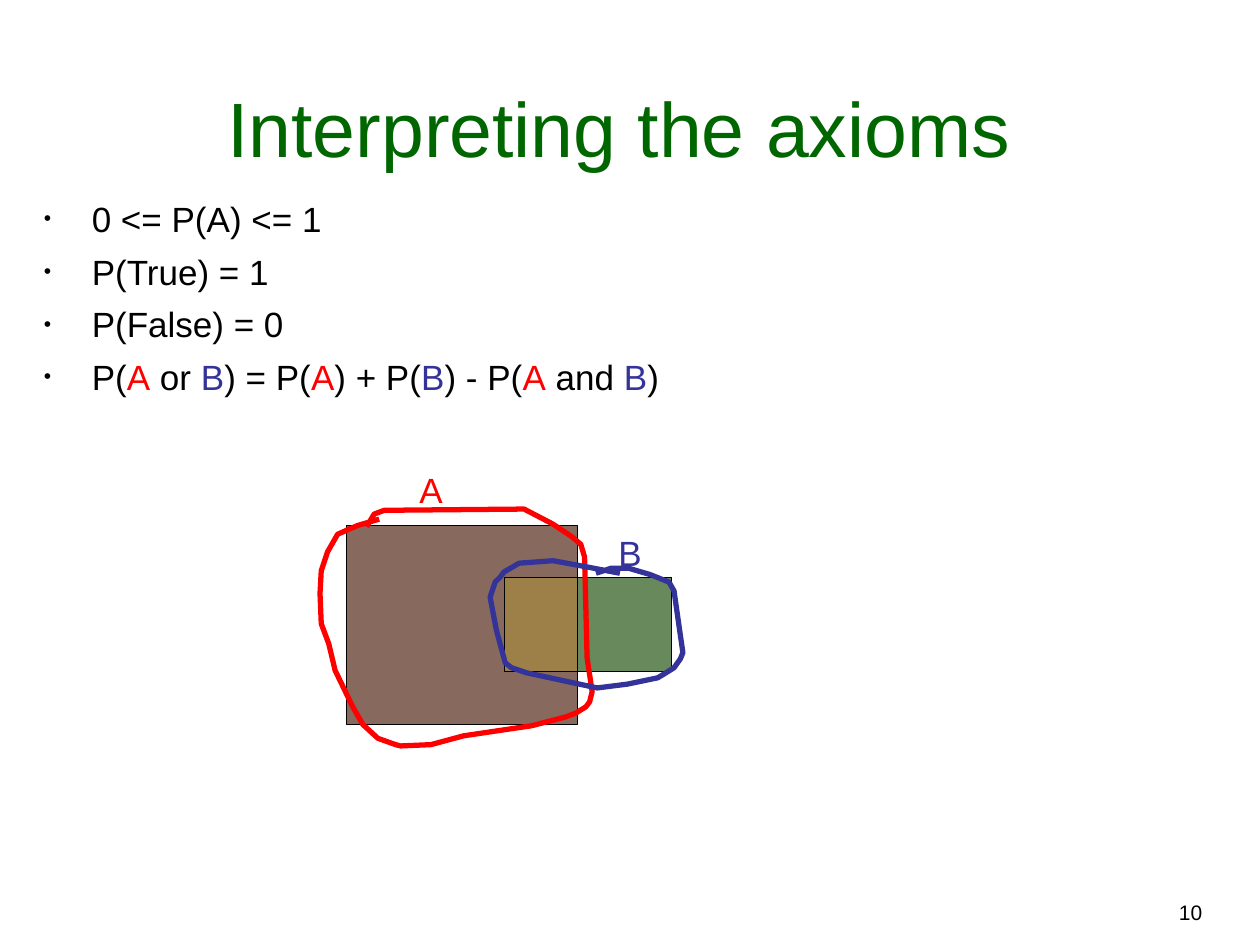
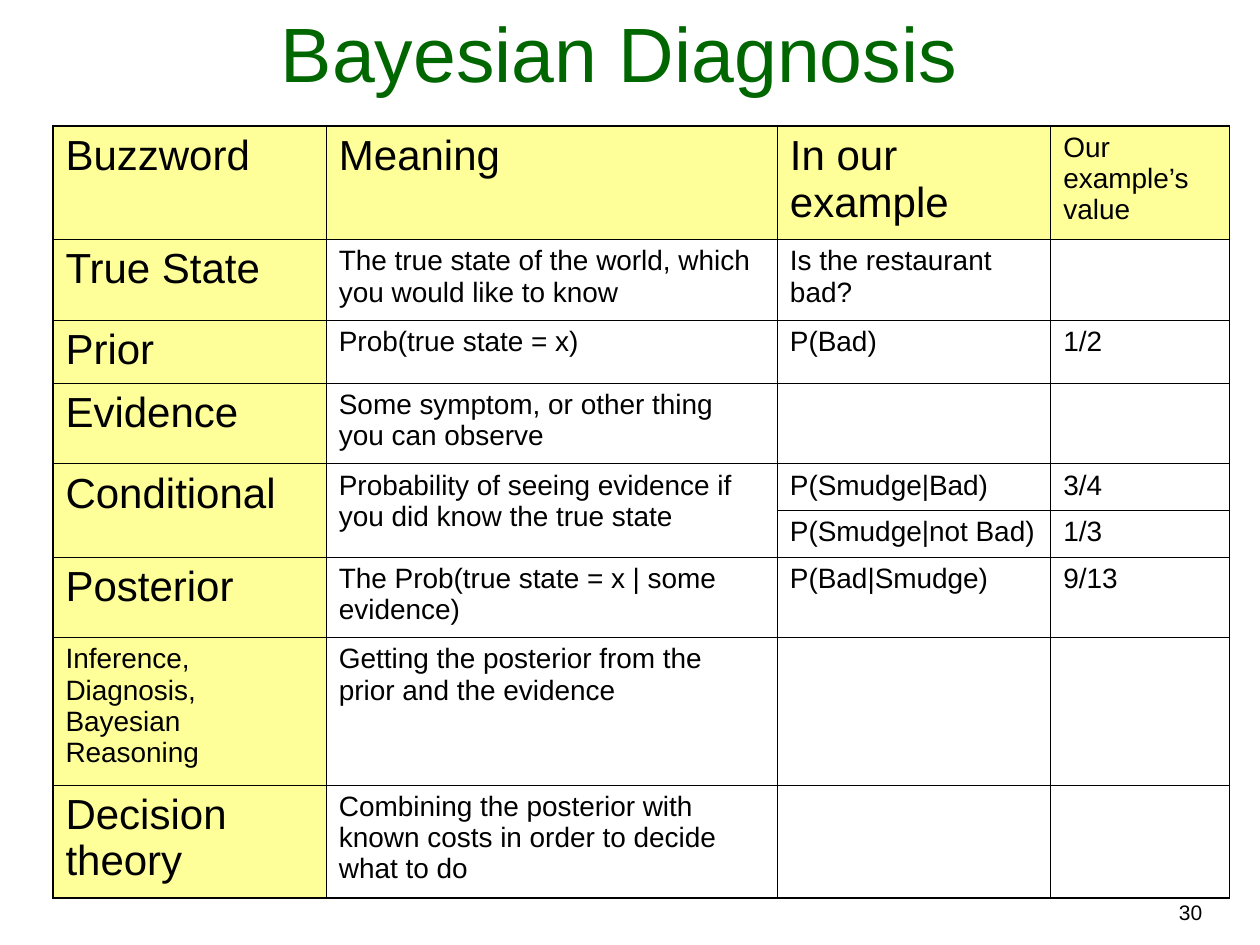
import pptx
import pptx.util
import pptx.dml.color
import pptx.enum.shapes
import pptx.enum.text
from lxml import etree

Inches, Pt = pptx.util.Inches, pptx.util.Pt
RGBColor = pptx.dml.color.RGBColor
ALIGN = pptx.enum.text.PP_ALIGN
ANCHOR = pptx.enum.text.MSO_ANCHOR

BLACK = RGBColor(0x00, 0x00, 0x00)
GREEN = RGBColor(0x00, 0x66, 0x00)
RED = RGBColor(0xFF, 0x00, 0x00)
BLUE = RGBColor(0x33, 0x33, 0x99)
YELLOW = RGBColor(0xFF, 0xFF, 0x99)
BROWN = RGBColor(0x87, 0x6A, 0x5D)
MOSS = RGBColor(0x67, 0x89, 0x5B)
OCHRE = RGBColor(0x9D, 0x80, 0x47)
FONT = "Arial"
EVENT_COLORS = {"A": RED, "B": BLUE}

AXIOMS = [
    ["0 <= P(A) <= 1"],
    ["P(True) = 1"],
    ["P(False) = 0"],
    ["P(", "A", " or ", "B", ") = P(", "A", ") + P(", "B", ") - P(", "A", " and ", "B", ")"],
]

# Hand-drawn loops, in inches from the corner of the diagram
LOOP_A = [
    (0.51, 0.12), (0.34, 0.17), (0.18, 0.24), (0.1, 0.38), (0.05, 0.53), (0.04, 0.71),
    (0.05, 0.95), (0.11, 1.11), (0.16, 1.32), (0.3, 1.61), (0.38, 1.75), (0.5, 1.86),
    (0.64, 1.91), (0.68, 1.92), (0.92, 1.91), (1.18, 1.84), (1.72, 1.76), (1.99, 1.69),
    (2.07, 1.66), (2.15, 1.61), (2.18, 1.57), (2.2, 1.49), (2.16, 1.22), (2.14, 0.42),
    (2.11, 0.32), (2.04, 0.26), (1.89, 0.16), (1.66, 0.04), (0.55, 0.05), (0.47, 0.08),
    (0.44, 0.13), (0.41, 0.18),
]
LOOP_B = [
    (2.42, 0.55), (2.16, 0.5), (1.89, 0.45), (1.62, 0.47), (1.5, 0.54), (1.47, 0.58),
    (1.43, 0.62), (1.39, 0.74), (1.44, 1.0), (1.51, 1.26), (1.56, 1.3), (1.68, 1.34),
    (2.24, 1.46), (2.48, 1.43), (2.72, 1.38), (2.77, 1.35), (2.85, 1.3), (2.9, 1.23),
    (2.92, 1.18), (2.89, 0.97), (2.86, 0.76), (2.85, 0.69), (2.81, 0.62), (2.66, 0.56),
    (2.49, 0.51), (2.35, 0.51), (2.23, 0.55),
]

COLUMN_WIDTHS = [2.17, 3.58, 2.17, 1.42]
ROW_HEIGHTS = [0.9, 0.64, 0.5, 0.64, 0.37, 0.37, 0.64, 1.17, 0.9]
GLOSSARY = [
    ["Buzzword", "Meaning", "In our example", "Our example’s value"],
    ["True State", "The true state of the world, which you would like to know",
     "Is the restaurant bad?", ""],
    ["Prior", "Prob(true state = x)", "P(Bad)", "1/2"],
    ["Evidence", "Some symptom, or other thing you can observe", "", ""],
    ["Conditional", "Probability of seeing evidence if you did know the true state",
     "P(Smudge|Bad)", "3/4"],
    ["", "", "P(Smudge|not Bad)", "1/3"],
    ["Posterior", "The Prob(true state = x | some evidence)", "P(Bad|Smudge)", "9/13"],
    ["Inference, Diagnosis, Bayesian Reasoning",
     "Getting the posterior from the prior and the evidence", "", ""],
    ["Decision theory",
     "Combining the posterior with known costs in order to decide what to do", "", ""],
]
CONDITIONAL_ROW = 4
SMALL_HEADINGS = {"Our example’s value", "Inference, Diagnosis, Bayesian Reasoning"}


def set_font(paragraph, size, color):
    font = paragraph.font
    font.name, font.size = FONT, Pt(size)
    font.color.rgb = color


def add_text(shapes, box, text, size, color, align=ALIGN.LEFT, anchor=ANCHOR.TOP, wrap=True):
    frame = shapes.add_textbox(*map(Inches, box)).text_frame
    frame.word_wrap = wrap
    frame.vertical_anchor = anchor
    paragraph = frame.paragraphs[0]
    paragraph.text = text
    paragraph.alignment = align
    set_font(paragraph, size, color)
    return frame


def add_base_slide(deck, title, title_box, number):
    """Add a blank slide with its title and slide number."""
    slide = deck.slides.add_slide(deck.slide_layouts[6])
    add_text(slide.shapes, (5.72, 7.09, 3.92, 0.3), number, 12, BLACK, ALIGN.RIGHT)
    add_text(slide.shapes, title_box, title, 44, GREEN, ALIGN.CENTER, ANCHOR.BOTTOM)
    return slide


def add_bullet(paragraph):
    properties = paragraph._p.get_or_add_pPr()
    properties.set("marL", str(Inches(0.38)))
    properties.set("indent", str(-Inches(0.38)))
    for tag, name, value in (("buSzPct", "val", "60000"),
                             ("buFont", "typeface", FONT),
                             ("buChar", "char", "•")):
        etree.SubElement(properties, pptx.oxml.ns.qn("a:" + tag)).set(name, value)


def add_axioms(slide, box):
    frame = slide.shapes.add_textbox(*map(Inches, box)).text_frame
    frame.word_wrap = True
    for index, pieces in enumerate(AXIOMS):
        axiom = frame.add_paragraph() if index else frame.paragraphs[0]
        add_bullet(axiom)
        if index:
            axiom.space_before = Pt(6)
        set_font(axiom, 20, BLACK)
        for piece in pieces:
            run = axiom.add_run()
            run.text = piece
            if piece in EVENT_COLORS:
                run.font.color.rgb = EVENT_COLORS[piece]


def add_region(shapes, box, color):
    region = shapes.add_shape(pptx.enum.shapes.MSO_SHAPE.RECTANGLE, *map(Inches, box))
    region.shadow.inherit = False
    region.fill.solid()
    region.fill.fore_color.rgb = color
    region.line.color.rgb = BLACK
    region.line.width = Pt(0.25)


def add_loop(shapes, left, top, points, color):
    (start_x, start_y), *rest = [(Inches(left + x), Inches(top + y)) for x, y in points]
    builder = shapes.build_freeform(start_x, start_y)
    builder.add_line_segments(rest, close=False)
    loop = builder.convert_to_shape()
    loop.shadow.inherit = False
    loop.fill.background()
    loop.line.color.rgb = color
    loop.line.width = Pt(3)


def add_venn_diagram(slide, left, top):
    shapes = slide.shapes.add_group_shape().shapes
    add_region(shapes, (left + 0.25, top + 0.17, 1.83, 1.58), BROWN)
    add_region(shapes, (left + 1.5, top + 0.58, 1.33, 0.75), MOSS)
    add_region(shapes, (left + 1.5, top + 0.58, 0.58, 0.75), OCHRE)
    for event, loop, label_x, label_y in (("A", LOOP_A, 0.73, -0.33), ("B", LOOP_B, 2.31, 0.17)):
        color = EVENT_COLORS[event]
        add_loop(shapes, left, top, loop, color)
        add_text(shapes, (left + label_x, top + label_y, 0.38, 0.44), event, 20, color,
                 ALIGN.CENTER, wrap=False)


def set_borders(cell, widths):
    """Draw black borders; widths maps L, R, T and B to points."""
    properties = cell._tc.get_or_add_tcPr()
    for side in "LRTB":
        line = etree.SubElement(properties, pptx.oxml.ns.qn("a:ln" + side))
        line.set("w", str(Pt(widths[side])))
        fill = etree.SubElement(line, pptx.oxml.ns.qn("a:solidFill"))
        etree.SubElement(fill, pptx.oxml.ns.qn("a:srgbClr")).set("val", str(BLACK))


def add_glossary(slide, left, top):
    rows, columns = len(ROW_HEIGHTS), len(COLUMN_WIDTHS)
    table = slide.shapes.add_table(rows, columns, Inches(left), Inches(top),
                                   Inches(sum(COLUMN_WIDTHS)), Inches(sum(ROW_HEIGHTS))).table
    table.first_row = table.horz_banding = False
    for column, width in zip(table.columns, COLUMN_WIDTHS):
        column.width = Inches(width)
    for row, height in zip(table.rows, ROW_HEIGHTS):
        row.height = Inches(height)
    for r, texts in enumerate(GLOSSARY):
        for c, text in enumerate(texts):
            cell = table.cell(r, c)
            heading = r == 0 or c == 0
            outer = {"L": c == 0, "R": c == columns - 1, "T": r == 0, "B": r == rows - 1}
            set_borders(cell, {side: 1.08 if edge else 0.45 for side, edge in outer.items()})
            if heading:
                cell.fill.solid()
                cell.fill.fore_color.rgb = YELLOW
            else:
                cell.fill.background()
            paragraph = cell.text_frame.paragraphs[0]
            paragraph.text = text
            large = heading and text and text not in SMALL_HEADINGS
            set_font(paragraph, 24 if large else 16, BLACK)
    for c in (0, 1):
        table.cell(CONDITIONAL_ROW, c).merge(table.cell(CONDITIONAL_ROW + 1, c))


def main():
    deck = pptx.Presentation()
    deck.slide_width, deck.slide_height = Inches(10), Inches(7.5)

    axioms = add_base_slide(deck, "Interpreting the axioms", (0.25, 0.25, 9.33, 1.17), "10")
    add_axioms(axioms, (0.25, 1.52, 5.42, 1.75))
    add_venn_diagram(axioms, 2.5, 4)

    diagnosis = add_base_slide(deck, "Bayesian Diagnosis", (0.25, 0.08, 9.33, 0.75), "30")
    add_glossary(diagnosis, 0.42, 1)

    deck.save("out.pptx")


if __name__ == "__main__":
    main()
